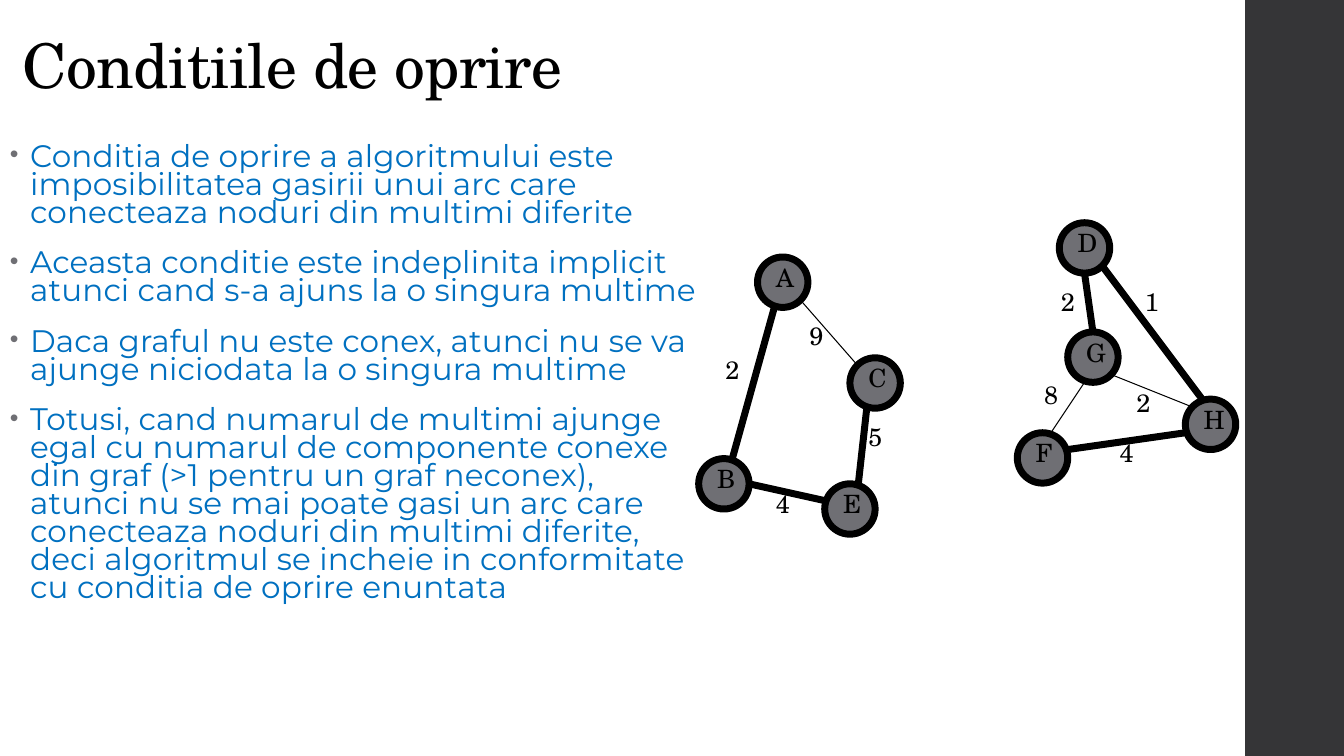
from dataclasses import dataclass

from lxml.etree import SubElement
from pptx import Presentation
from pptx.dml.color import RGBColor
from pptx.enum.shapes import MSO_CONNECTOR as CONN, MSO_SHAPE as SHAPE
from pptx.enum.text import MSO_ANCHOR as ANCHOR, MSO_AUTO_SIZE as AUTO
from pptx.oxml.ns import qn
from pptx.util import Inches, Pt


@dataclass(frozen=True)
class Theme:
    """Colours, fonts and sizes of the slide."""
    black: str = "000000"
    blue: str = "0070C0"
    grey: str = "6F6F74"
    band: str = "353537"
    serif: str = "TeX Gyre Schola"
    sans: str = "Montserrat"
    title: float = 44
    body: float = 22.2
    label: float = 18
    thick: float = 5
    thin: float = 0.75


T = Theme()
UNIT = 1 / 12   # graph grid step, inches
NODE = 6        # node diameter, grid steps

TITLE = "Conditiile de oprire"
BULLETS = [
    "Conditia de oprire a algoritmului este imposibilitatea gasirii unui arc "
    "care conecteaza noduri din multimi diferite",
    "Aceasta conditie este indeplinita implicit atunci cand s-a ajuns la o "
    "singura multime",
    "Daca graful nu este conex, atunci nu se va ajunge niciodata la o singura "
    "multime",
    "Totusi, cand numarul de multimi ajunge egal cu numarul de componente "
    "conexe din graf (>1 pentru un graf neconex), atunci nu se mai poate gasi "
    "un arc care conecteaza noduri din multimi diferite, deci algoritmul se "
    "incheie in conformitate cu conditia de oprire enuntata",
]

# Nodes: name -> corner. Edges: start, end, line width, cost, cost corner.
# All positions are grid steps from the corner of the graph's box.
LEFT_GRAPH = {
    "nodes": {"A": (7, 0), "B": (0, 24), "C": (18, 12), "E": (15, 27)},
    "edges": [
        ((12, 5), (19, 13), T.thin, "9", (12, 7)),
        ((9, 6), (4, 24), T.thick, "2", (2, 11)),
        ((20, 18), (19, 27), T.thick, "5", (19, 19)),
        ((6, 27), (15, 29), T.thick, "4", (8, 27)),
    ],
}
RIGHT_GRAPH = {
    "nodes": {"D": (5, 0), "G": (6, 13), "F": (0, 25), "H": (20, 21)},
    "edges": [
        ((4, 25), (8, 19), T.thin, "8", (2, 18)),
        ((6, 27), (20, 25), T.thick, "4", (11, 25)),
        ((11, 18), (21, 22), T.thin, "2", (13, 19)),
        ((10, 5), (22, 21), T.thick, "1", (14, 7)),
        ((8, 6), (9, 13), T.thick, "2", (4, 7)),
    ],
}


def rgb(color):
    """Turn a hex string into a colour."""
    return RGBColor.from_string(color)


def set_all(obj, values):
    """Set each attribute in values on obj."""
    for name, value in values.items():
        setattr(obj, name, value)


def add_run(p, text, font, size, color, spacing=0):
    """Add a formatted run; spacing is in points."""
    r = p.add_run()
    r.text = text
    set_all(r.font, {"name": font, "size": Pt(size)})
    r.font.color.rgb = rgb(color)
    if spacing:
        r._r.get_or_add_rPr().set("spc", str(round(spacing * 100)))


def add_box(s, box, **frame):
    """Add a text box with the given frame settings; return its frame."""
    tf = s.shapes.add_textbox(*map(Inches, box)).text_frame
    set_all(tf, frame)
    return tf


def add_solid(s, kind, box, fill):
    """Add a filled, shadowless, unlined preset shape."""
    sp = s.shapes.add_shape(kind, *map(Inches, box))
    sp.shadow.inherit = False
    sp.fill.solid()
    sp.fill.fore_color.rgb = rgb(fill)
    sp.line.fill.background()
    return sp


def set_line(line, width):
    """Give a line the black graph stroke."""
    line.color.rgb = rgb(T.black)
    line.width = Pt(width)


def add_label(s, x, y, text, width):
    """Add a one-character label that does not wrap."""
    tf = add_box(s, (x, y, width, 0.5), word_wrap=False,
                 auto_size=AUTO.SHAPE_TO_FIT_TEXT)
    add_run(tf.paragraphs[0], text, T.serif, T.label, T.black)


def add_title(s, box):
    """Place the slide title at the bottom of its box."""
    tf = add_box(s, box, word_wrap=True, vertical_anchor=ANCHOR.BOTTOM)
    p = tf.paragraphs[0]
    p.line_spacing = 0.9
    add_run(p, TITLE, T.serif, T.title, T.black, -0.5)


def add_bullets(s, box):
    """Place the bulleted conditions."""
    tf = add_box(s, box, word_wrap=True)
    for i, text in enumerate(BULLETS):
        p = tf.add_paragraph() if i else tf.paragraphs[0]
        set_all(p, {"line_spacing": 0.75, "space_before": Pt(14),
                    "space_after": Pt(2)})
        pPr = p._p.get_or_add_pPr()
        pPr.set("marL", str(Inches(0.2)))
        pPr.set("indent", str(Inches(-0.2)))
        clr = SubElement(pPr, qn("a:buClr"))
        SubElement(clr, qn("a:srgbClr"), val=T.grey)
        SubElement(pPr, qn("a:buSzPct"), val="80000")
        SubElement(pPr, qn("a:buFont"), typeface="Arial")
        SubElement(pPr, qn("a:buChar"), char="\u2022")
        add_run(p, text, T.sans, T.body, T.blue, 0.1)


def add_graph(s, left, top, graph):
    """Draw nodes, edges and labels from the box corner (left, top)."""
    def at(point):
        return left + point[0] * UNIT, top + point[1] * UNIT

    for corner in graph["nodes"].values():
        size = NODE * UNIT
        sp = add_solid(s, SHAPE.OVAL, (*at(corner), size, size), T.grey)
        set_line(sp.line, T.thick)
    for start, end, width, _, _ in graph["edges"]:
        ends = map(Inches, (*at(start), *at(end)))
        c = s.shapes.add_connector(CONN.STRAIGHT, *ends)
        set_line(c.line, width)
        SubElement(c._element.spPr, qn("a:effectLst"))
    for *_, cost, corner in graph["edges"]:
        add_label(s, *at(corner), cost, 0.38)
    for name, (x, y) in graph["nodes"].items():
        add_label(s, *at((x + 1, y)), name, 0.4)


def build_slide(prs):
    """Build the slide on the stopping conditions."""
    s = prs.slides.add_slide(prs.slide_layouts[6])
    add_solid(s, SHAPE.RECTANGLE, (12.35, 0, 1, 7.5), T.band)
    add_title(s, (0.13, 0.03, 10.37, 1.03))
    add_bullets(s, (0, 1.39, 7.05, 5.93))
    add_graph(s, 6.93, 2.55, LEFT_GRAPH)
    add_graph(s, 10.09, 2.21, RIGHT_GRAPH)


prs = Presentation()
set_all(prs, {"slide_width": Inches(13.33), "slide_height": Inches(7.5)})
build_slide(prs)
prs.save("out.pptx")
